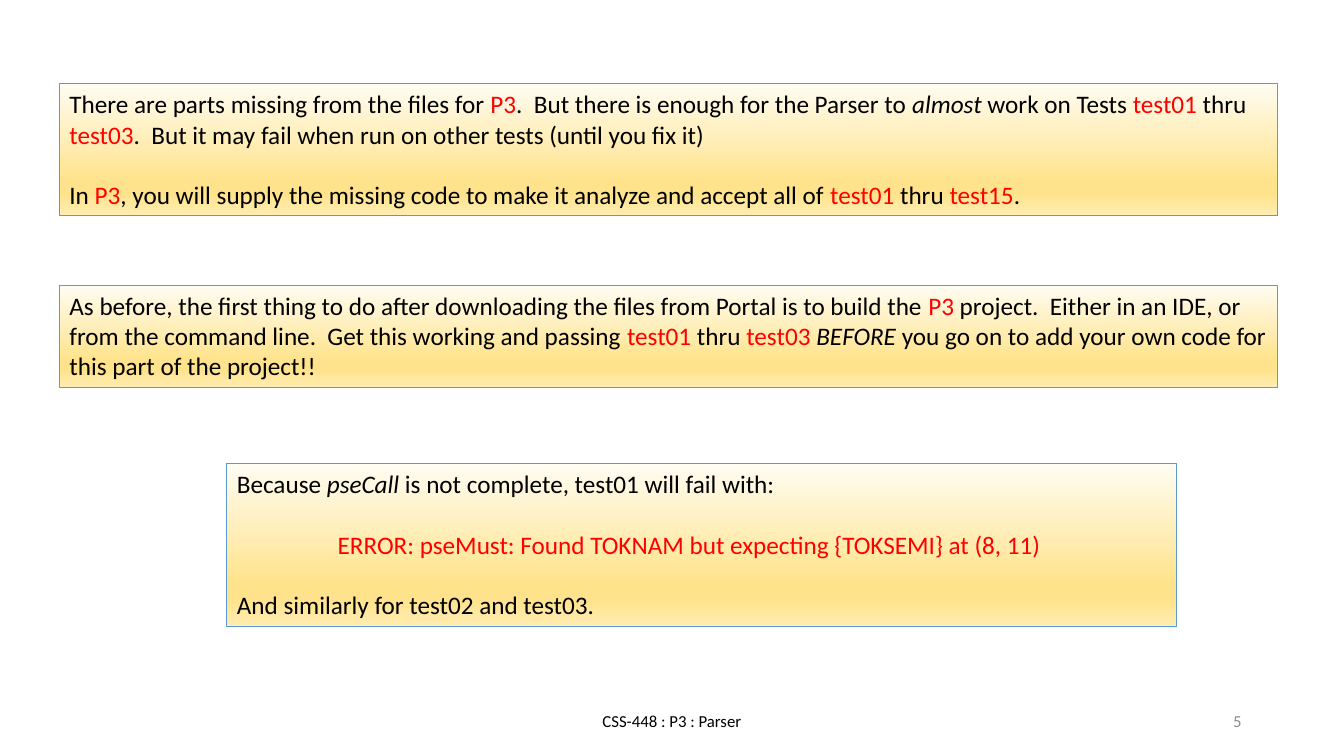
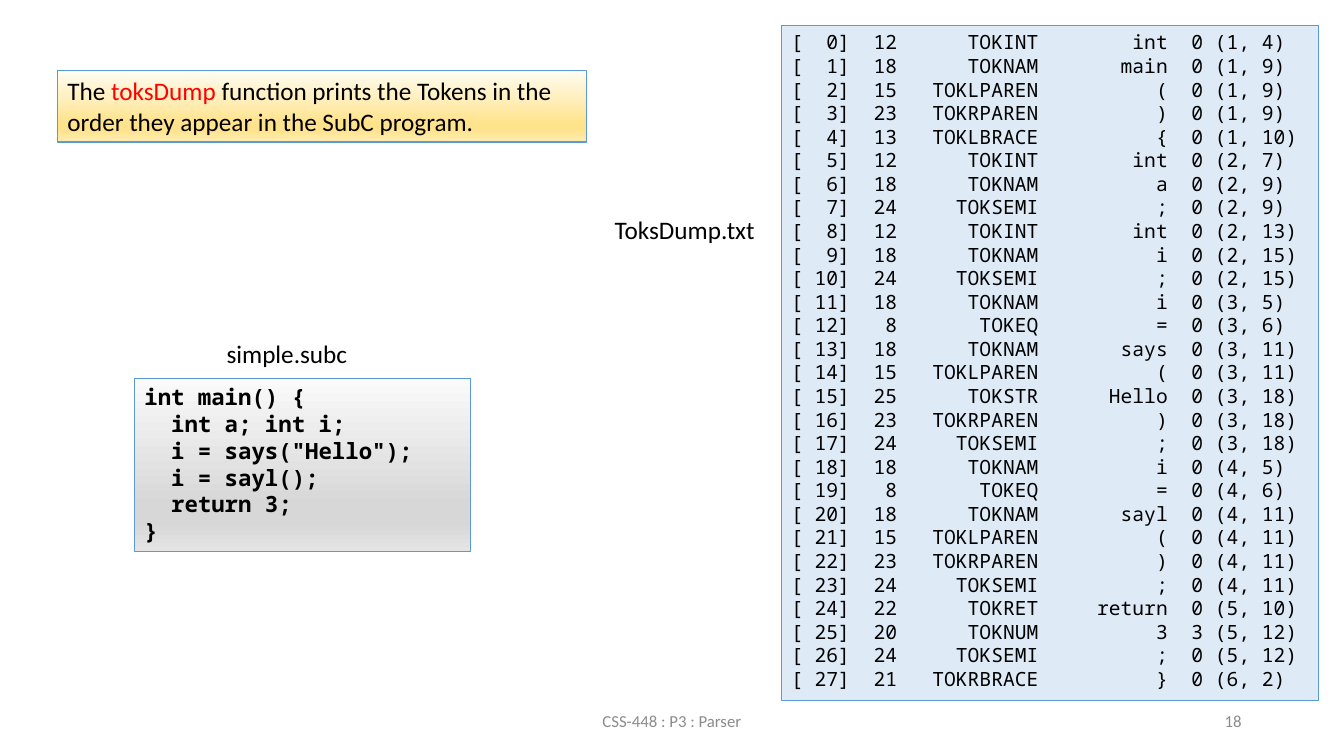
"""Build two slides of a course deck on the P3 parser project."""
import copy

import pptx
import pptx.dml.color
import pptx.enum.shapes
import pptx.enum.text
import pptx.oxml.ns
import pptx.util

Cm, Pt = pptx.util.Cm, pptx.util.Pt
ALIGN = pptx.enum.text.PP_ALIGN
ANCHOR = pptx.enum.text.MSO_ANCHOR

COLORS = {
    "text": "000000",
    "key": "FF0000",
    "muted": "8C8C8C",
    "border": "5B9BD5",
    "dump": "DEEBF7",
}
GRADIENTS = {
    "gold": ["FFFCF2", "FFE38C", "FFE38C", "FFECB2"],
    "gray": ["FAFAFA", "D7D7D7", "D7D7D7", "E4E4E4"],
}
STOPS = [0, 0.74, 0.83, 1]

BODY = {"name": "Calibri", "size": Pt(18)}
SMALL = {"name": "Calibri", "size": Pt(12)}
CODE = {"name": "Noto Sans Mono", "size": Pt(16), "bold": True}
DUMP = {"name": "Noto Sans Mono", "size": Pt(14)}
GAP = {"space_before": Pt(21.6)}
CODE_LINES = {"line_spacing": Pt(19.2)}
DUMP_LINES = {"line_spacing": Pt(16.85)}

FOOTER = "CSS-448 : P3 : Parser"

MISSING_PARTS = [
    [
        "There are parts missing from the files for ", ("P3", "key"),
        ".  But there is enough for the Parser to ", ("almost", "italic"),
        " work on Tests ", ("test01", "key"), " thru ", ("test03", "key"),
        ".  But it may fail when run on other tests (until you fix it)",
    ],
    [
        "In ", ("P3", "key"),
        ", you will supply the missing code to make it analyze and accept all of ",
        ("test01", "key"), " thru ", ("test15", "key"), ".",
    ],
]
BUILD_FIRST = [[
    "As before, the first thing to do after downloading the files from Portal is to build the ",
    ("P3", "key"),
    " project.  Either in an IDE, or from the command line.  Get this working and passing ",
    ("test01", "key"), " thru ", ("test03 ", "key"), ("BEFORE", "italic"),
    " you go on to add your own code for this part of the project!!",
]]
EXPECTED_ERROR = [
    ["Because ", ("pseCall", "italic"), " is not complete, test01 will fail with:"],
    [("ERROR: pseMust: Found TOKNAM but expecting {TOKSEMI} at (8, 11)", "key")],
    ["And similarly for test02 and test03."],
]
DUMP_PURPOSE = [[
    "The ", ("toksDump", "key"),
    " function prints the Tokens in the order they appear in the SubC program.",
]]
PROGRAM = [
    "int main() {",
    "  int a; int i;",
    "  i = says(\"Hello\");",
    "  i = sayl();",
    "  return 3;",
    "}",
]

TOKEN_CODES = {
    "EQ": 8, "INT": 12, "LBRACE": 13, "LPAREN": 15, "NAM": 18, "NUM": 20,
    "RBRACE": 21, "RET": 22, "RPAREN": 23, "SEMI": 24, "STR": 25,
}
TOKENS = [
    ("INT", "int", 0, 1, 4),
    ("NAM", "main", 0, 1, 9),
    ("LPAREN", "(", 0, 1, 9),
    ("RPAREN", ")", 0, 1, 9),
    ("LBRACE", "{", 0, 1, 10),
    ("INT", "int", 0, 2, 7),
    ("NAM", "a", 0, 2, 9),
    ("SEMI", ";", 0, 2, 9),
    ("INT", "int", 0, 2, 13),
    ("NAM", "i", 0, 2, 15),
    ("SEMI", ";", 0, 2, 15),
    ("NAM", "i", 0, 3, 5),
    ("EQ", "=", 0, 3, 6),
    ("NAM", "says", 0, 3, 11),
    ("LPAREN", "(", 0, 3, 11),
    ("STR", "Hello", 0, 3, 18),
    ("RPAREN", ")", 0, 3, 18),
    ("SEMI", ";", 0, 3, 18),
    ("NAM", "i", 0, 4, 5),
    ("EQ", "=", 0, 4, 6),
    ("NAM", "sayl", 0, 4, 11),
    ("LPAREN", "(", 0, 4, 11),
    ("RPAREN", ")", 0, 4, 11),
    ("SEMI", ";", 0, 4, 11),
    ("RET", "return", 0, 5, 10),
    ("NUM", "3", 3, 5, 12),
    ("SEMI", ";", 0, 5, 12),
    ("RBRACE", "}", 0, 6, 2),
]


def rgb(name):
    return pptx.dml.color.RGBColor.from_string(COLORS.get(name, name))


def apply(target, values):
    for name, value in values.items():
        setattr(target, name, value)


def dump_lines():
    return [
        [f"[{index:3}]  {TOKEN_CODES[kind]:2}{'TOK' + kind:>12}{text:>11}"
         f"  {value} ({row}, {column})"]
        for index, (kind, text, value, row, column) in enumerate(TOKENS)
    ]


def write(box, paragraphs, font, layout=None, color="text", anchor=ANCHOR.TOP):
    frame = box.text_frame
    apply(frame, {"word_wrap": True, "vertical_anchor": anchor})
    for index, spans in enumerate(paragraphs):
        para = frame.paragraphs[0] if index == 0 else frame.add_paragraph()
        apply(para, {"alignment": ALIGN.LEFT, **(layout or {})})
        if index == 0:
            para.space_before = Pt(0)
        for item in spans:
            text, style = (item, None) if isinstance(item, str) else item
            span = para.add_run()
            span.text = text
            apply(span.font, font)
            if style == "italic":
                span.font.italic = True
            span.font.color.rgb = rgb("key" if style == "key" else color)


def add_label(page, place, text, font=BODY, **options):
    box = page.shapes.add_textbox(*map(Cm, place))
    write(box, [[text]], font, **options)


def add_panel(page, place, fill, paragraphs, font=BODY, layout=None):
    box = page.shapes.add_shape(
        pptx.enum.shapes.MSO_SHAPE.RECTANGLE, *map(Cm, place))
    box.shadow.inherit = False
    box.line.color.rgb = rgb("border")
    box.line.width = Pt(0.75)
    if fill in GRADIENTS:
        box.fill.gradient()
        box.fill.gradient_angle = 270
        stops = box._element.spPr.find(".//" + pptx.oxml.ns.qn("a:gsLst"))
        while len(stops) < len(STOPS):
            stops.append(copy.deepcopy(stops[0]))
        for stop, position, color in zip(
                box.fill.gradient_stops, STOPS, GRADIENTS[fill]):
            stop.position = position
            stop.color.rgb = rgb(color)
    else:
        box.fill.solid()
        box.fill.fore_color.rgb = rgb(fill)
    write(box, paragraphs, font, layout)
    return box


def add_page(deck, number, footer_color):
    page = deck.slides.add_slide(deck.slide_layouts[6])
    for left, width, text, color, alignment in [
        (11.22, 11.43, FOOTER, footer_color, ALIGN.CENTER),
        (23.92, 7.62, str(number), "muted", ALIGN.RIGHT),
    ]:
        add_label(page, (left, 17.65, width, 1.01), text, SMALL, color=color,
                  layout={"alignment": alignment}, anchor=ANCHOR.MIDDLE)
    return page


def main():
    deck = pptx.Presentation()
    apply(deck, {"slide_width": Cm(33.87), "slide_height": Cm(19.05)})

    page = add_page(deck, 5, "text")
    add_panel(page, (1.5, 2.11, 30.69, 3.33), "gold", MISSING_PARTS, layout=GAP)
    add_panel(page, (1.5, 7.19, 30.69, 2.57), "gold", BUILD_FIRST)
    box = add_panel(page, (5.72, 11.68, 23.93, 4.11), "gold", EXPECTED_ERROR, layout=GAP)
    box.text_frame.paragraphs[1]._p.get_or_add_pPr().set("marL", str(Cm(2.54)))

    page = add_page(deck, 18, "muted")
    add_panel(page, (1.45, 1.78, 13.34, 1.8), "gold", DUMP_PURPOSE)
    add_panel(page, (19.69, 0.64, 13.54, 17.02), "dump", dump_lines(), DUMP, DUMP_LINES)
    add_panel(page, (3.39, 9.53, 8.46, 4.37), "gray",
              [[line] for line in PROGRAM], CODE, CODE_LINES)
    add_label(page, (5.46, 8.41, 5.33, 1.02), "simple.subc")
    add_label(page, (15.24, 5.28, 5.33, 1.02), "ToksDump.txt")

    deck.save("out.pptx")


if __name__ == "__main__":
    main()
